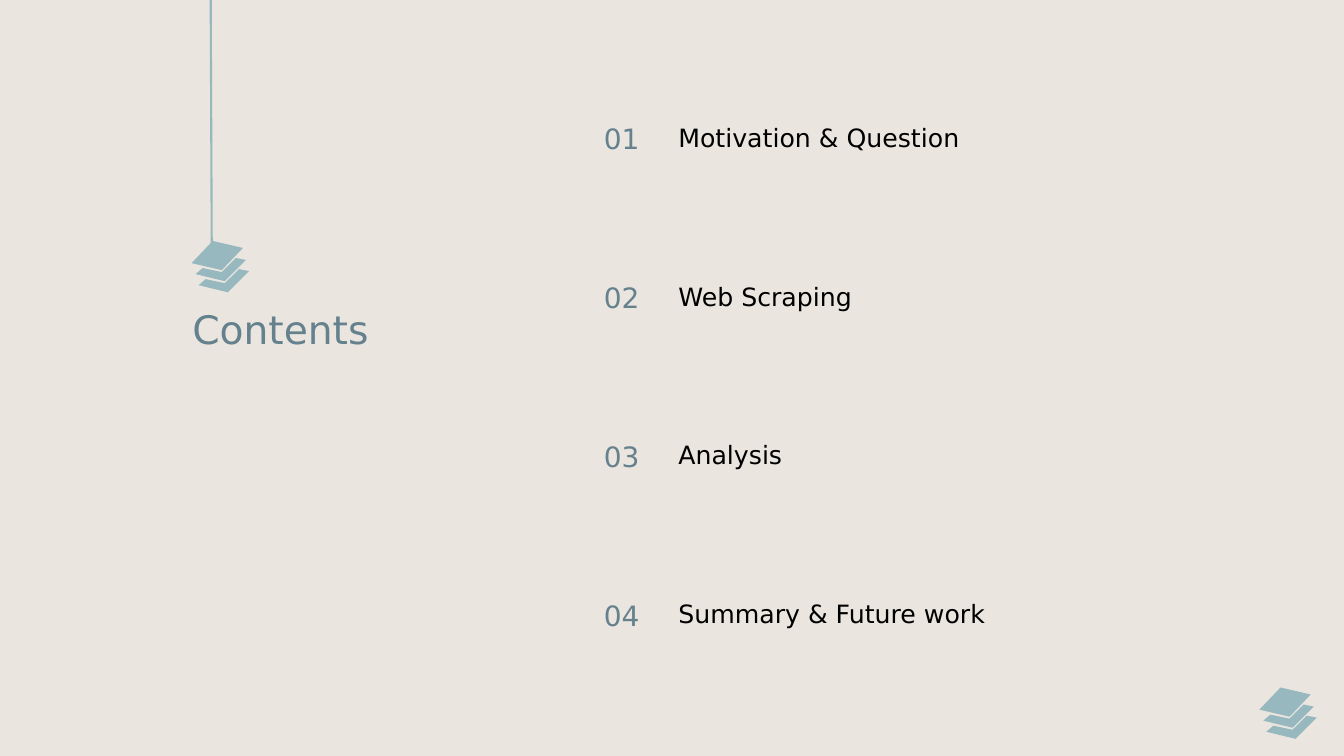
import pptx
import pptx.dml.color
import pptx.enum.shapes
import pptx.enum.text
import pptx.util
from lxml import etree

Inches = pptx.util.Inches
COLORS = {"back": "EAE6DF", "slate": "64818D", "teal": "97B8BF", "ink": "000000"}
FONT = "DejaVu Sans"
TOPICS = [
    ("Motivation & Question", 3.33, 0.71),
    ("Web Scraping", 1.95, 0.4),
    ("Analysis", 1.95, 0.4),
    ("Summary & Future work", 3.61, 0.71),
]
TOP_SHEET = [(0.21, 0), (0.51, 0.07), (0.3, 0.29), (0, 0.22)]
LOW_SHEET = [(0.11, 0.27), (0.3, 0.31), (0.44, 0.17),
             (0.54, 0.19), (0.33, 0.4), (0.04, 0.33)]
NEXT_SHEET = [(x + 0.03, y + 0.11) for x, y in LOW_SHEET]


def color(name):
    """Return the named colour."""
    return pptx.dml.color.RGBColor.from_string(COLORS[name])


def add_label(slide, text, left, top, width, height, size, tint):
    """Add a line of text."""
    box = slide.shapes.add_textbox(
        Inches(left), Inches(top), Inches(width), Inches(height))
    frame = box.text_frame
    frame.word_wrap = True
    frame.auto_size = pptx.enum.text.MSO_AUTO_SIZE.SHAPE_TO_FIT_TEXT
    para = frame.paragraphs[0]
    para.text = text
    para.font.name = FONT
    para.font.size = pptx.util.Pt(size)
    para.font.color.rgb = color(tint)


def add_stack(slide, left, top):
    """Add a grouped icon of three stacked sheets."""
    group = slide.shapes.add_group_shape()
    for sheet in (TOP_SHEET, LOW_SHEET, NEXT_SHEET):
        points = [(Inches(left + x), Inches(top + y)) for x, y in sheet]
        pen = group.shapes.build_freeform(*points[0])
        pen.add_line_segments(points[1:], close=True)
        shape = pen.convert_to_shape()
        shape.shadow.inherit = False
        shape.fill.solid()
        shape.fill.fore_color.rgb = color("teal")
        shape.line.fill.background()


def add_cord(slide, start, end):
    """Add a thin line without a shadow."""
    cord = slide.shapes.add_connector(
        pptx.enum.shapes.MSO_CONNECTOR.STRAIGHT,
        *map(Inches, start), *map(Inches, end))
    cord.line.color.rgb = color("teal")
    cord.line.width = pptx.util.Pt(1.5)
    etree.SubElement(cord._element.spPr, pptx.oxml.ns.qn("a:effectLst"))


def main():
    """Build the contents slide."""
    deck = pptx.Presentation()
    deck.slide_width, deck.slide_height = Inches(13.33), Inches(7.5)
    slide = deck.slides.add_slide(deck.slide_layouts[6])
    slide.background.fill.solid()
    slide.background.fill.fore_color.rgb = color("back")
    add_label(slide, "Contents", 1.81, 2.98, 2.2, 0.57, 28, "slate")
    for index, (topic, width, height) in enumerate(TOPICS):
        top = 1.16 + index * 1.577
        add_label(slide, f"{index + 1:02}", 5.89, top, 0.7, 0.44, 20, "slate")
        add_label(slide, topic, 6.63, top, width, height, 18, "ink")
    add_stack(slide, 1.9, 2.39)
    add_stack(slide, 12.49, 6.82)
    add_cord(slide, (2.09, 0), (2.1, 2.44))
    deck.save("out.pptx")


if __name__ == "__main__":
    main()
